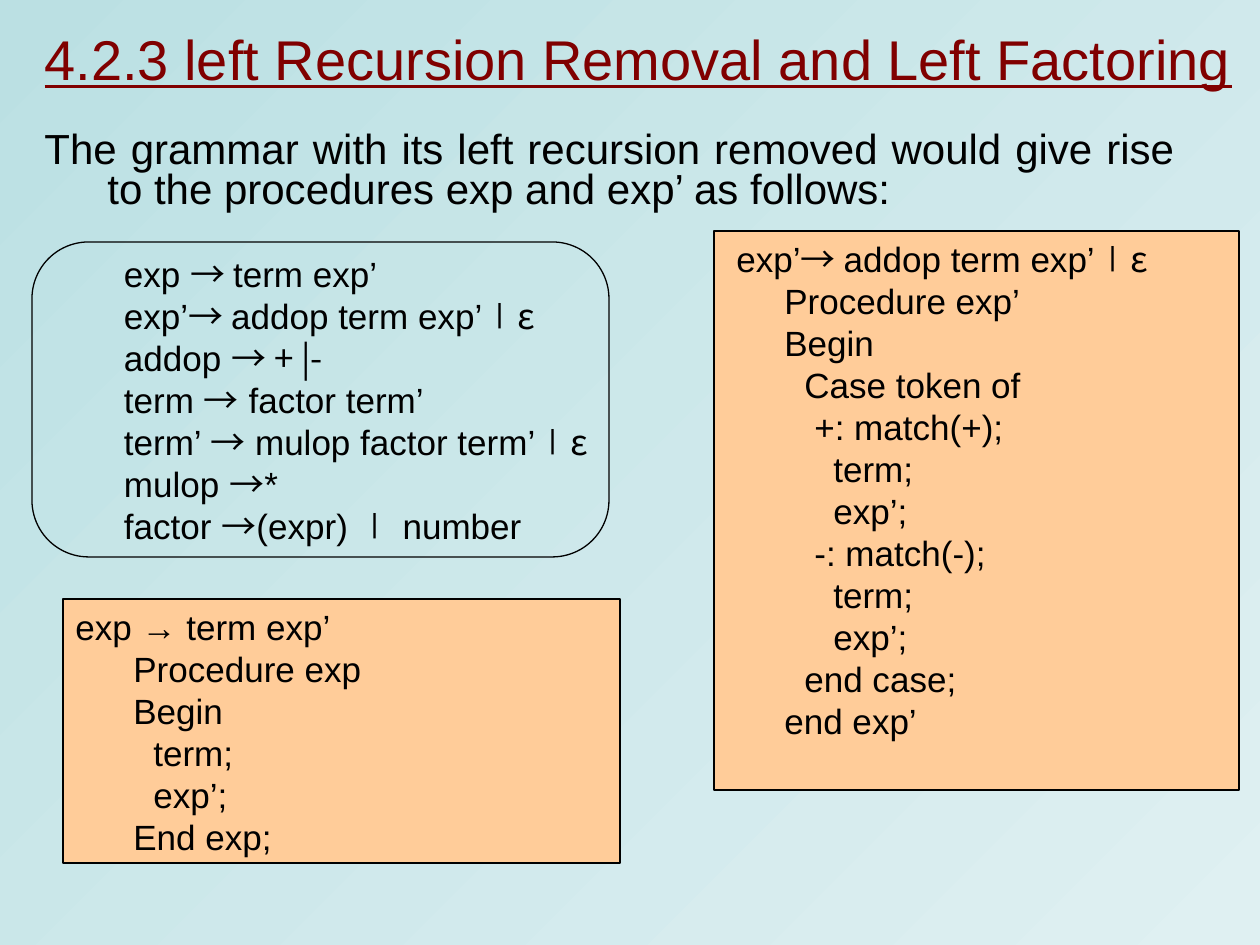
from lxml import etree
from pptx import Presentation
from pptx import util as u
from pptx.dml import color
from pptx.enum import shapes, text
from pptx.oxml import ns

SCALE = u.Inches(1) / 126
FONTS = ("Arial", "Noto Sans CJK SC")

HEAD = "4.2.3 left Recursion Removal and Left Factoring"
INTRO = ("The grammar with its left recursion removed would give rise "
         "to the procedures exp and exp’ as follows:")
RULES = [
    (63, "exp ~→ ~term exp’"),
    (63, "exp’~→ ~addop term exp’~∣ε"),
    (63, "addop ~→ + |-"),
    (63, "term ~→~ factor term’"),
    (63, "term’ ~→~ mulop factor term’~∣ε"),
    (63, "mulop ~→~*"),
    (63, "factor ~→~(expr) ~∣~ number"),
]
EXP = [
    (0, "exp → term exp’"),
    (58, "Procedure exp"),
    (58, "Begin"),
    (78, "term;"),
    (78, "exp’;"),
    (58, "End exp;"),
]
PRIME = [
    (10, "exp’~→ ~addop term exp’~∣ε"),
    (58, "Procedure exp’"),
    (58, "Begin"),
    (78, "Case token of"),
    (88, "+: match(+);"),
    (107, "term;"),
    (107, "exp’;"),
    (88, "-: match(-);"),
    (107, "term;"),
    (107, "exp’;"),
    (78, "end case;"),
    (58, "end exp’"),
]


def px(n):
    return round(n * SCALE)


def rgb(code):
    return color.RGBColor.from_string(code)


def apply(item, form):
    for key, value in form.items():
        setattr(item, key, value)


def place(shape, left, top, width, height):
    apply(shape, {"left": px(left), "top": px(top),
                  "width": px(width), "height": px(height)})


def add_run(par, words, face, size, tint="000000", line=False):
    run = par.add_run()
    run.text = words
    apply(run.font, {"name": face, "size": u.Pt(size), "underline": line})
    run.font.color.rgb = rgb(tint)
    east = etree.Element(ns.qn("a:ea"), typeface=face)
    run.font._element.find(ns.qn("a:latin")).addnext(east)


def indent(par, left, first=0):
    props = par._p.get_or_add_pPr()
    props.set("marL", str(px(left)))
    props.set("indent", str(px(first)))


def add_title(slide):
    title = slide.shapes.title
    place(title, 32, 32, 1228, 53)
    apply(title.text_frame, {"vertical_anchor": text.MSO_ANCHOR.MIDDLE,
                             "auto_size": text.MSO_AUTO_SIZE.NONE,
                             "word_wrap": True})
    par = title.text_frame.paragraphs[0]
    par.alignment = text.PP_ALIGN.LEFT
    add_run(par, HEAD, FONTS[0], 32, "800000", True)


def add_intro(slide):
    box = slide.shapes.add_textbox(px(32), px(126), px(1155), px(95))
    box.text_frame.word_wrap = True
    par = box.text_frame.paragraphs[0]
    apply(par, {"alignment": text.PP_ALIGN.JUSTIFY,
                "line_spacing": 0.8, "space_before": u.Pt(4.5)})
    indent(par, 63, -63)
    add_run(par, INTRO, FONTS[0], 24)


def add_panel(slide, kind, area, lines, fill=None, frame=None):
    panel = slide.shapes.add_shape(kind, *map(px, area))
    panel.shadow.inherit = False
    if fill:
        panel.fill.solid()
        panel.fill.fore_color.rgb = rgb(fill)
    else:
        panel.fill.background()
    panel.line.color.rgb = rgb("000000")
    panel.line.width = u.Pt(0.75)
    body = panel.text_frame
    apply(body, {"word_wrap": True, "vertical_anchor": text.MSO_ANCHOR.TOP,
                 **(frame or {})})
    for row, (left, words) in enumerate(lines):
        par = body.add_paragraph() if row else body.paragraphs[0]
        apply(par, {"alignment": text.PP_ALIGN.LEFT, "line_spacing": u.Pt(24)})
        indent(par, left)
        for turn, part in enumerate(words.split("~")):
            add_run(par, part, FONTS[turn % 2], 20)
    return panel


def paint_back(slide):
    fill = slide.background.fill
    fill.gradient()
    fill.gradient_angle = 315
    for stop, code in zip(fill.gradient_stops, ("BBE0E3", "DFF0F2")):
        stop.color.rgb = rgb(code)


def main():
    deck = Presentation()
    apply(deck, {"slide_width": px(1260), "slide_height": px(945)})
    slide = deck.slides.add_slide(deck.slide_layouts[5])
    kinds = shapes.MSO_SHAPE
    paint_back(slide)
    add_title(slide)
    add_intro(slide)
    add_panel(slide, kinds.RECTANGLE, (714, 231, 525, 559), PRIME, "FFCC99")
    rules = add_panel(slide, kinds.ROUNDED_RECTANGLE, (32, 242, 577, 315), RULES,
                      frame={"word_wrap": False,
                             "vertical_anchor": text.MSO_ANCHOR.MIDDLE})
    rules.adjustments[0] = 0.18
    add_panel(slide, kinds.RECTANGLE, (63, 599, 557, 264), EXP, "FFCC99")
    deck.save("out.pptx")


if __name__ == "__main__":
    main()
